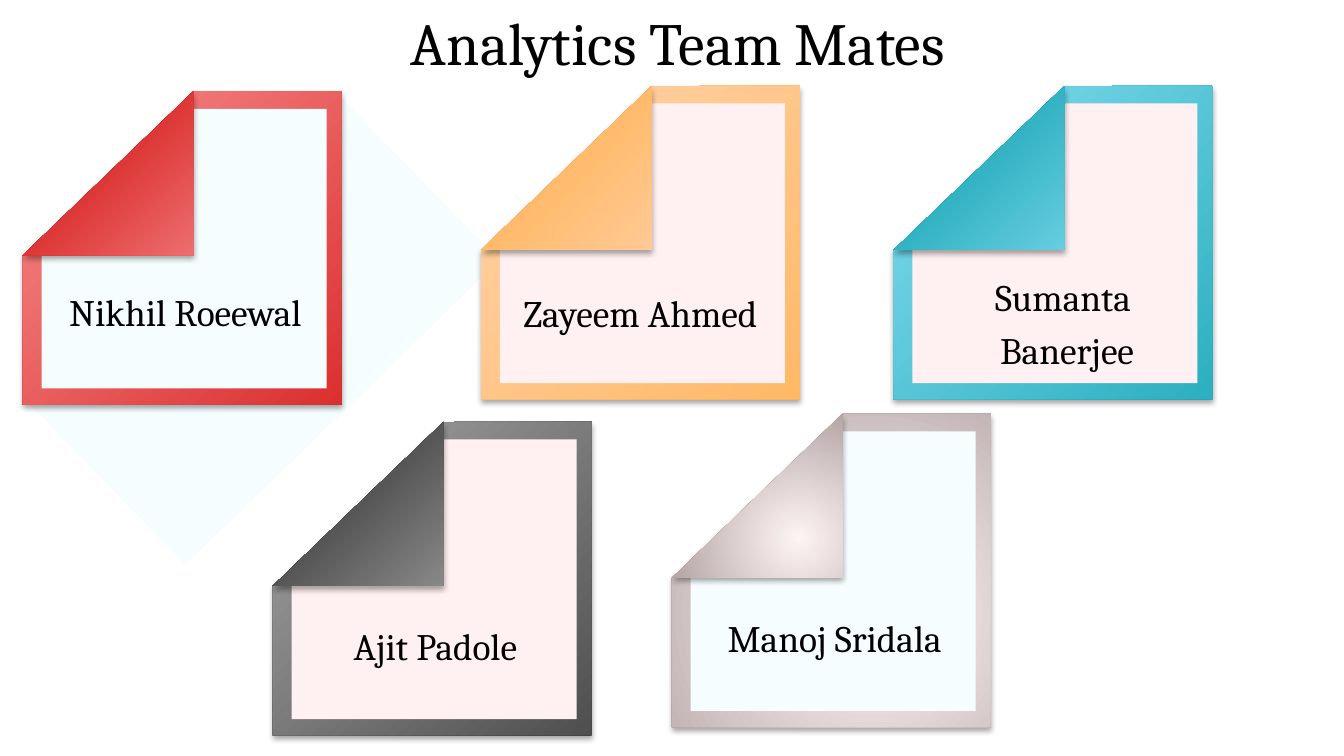
from math import cos, radians, sin

from lxml import etree
from pptx import Presentation
from pptx.dml.color import RGBColor
from pptx.enum.shapes import MSO_SHAPE
from pptx.enum.text import MSO_ANCHOR, PP_ALIGN
from pptx.oxml import parse_xml
from pptx.oxml.ns import nsdecls, qn
from pptx.util import Inches, Pt

RECTANGLE = MSO_SHAPE.RECTANGLE
CENTER = PP_ALIGN.CENTER
TOP = MSO_ANCHOR.TOP
TITLE_ONLY = 5

FRAME = [(1.27, 0), (2.37, 0), (2.37, 2.33), (0, 2.33), (0, 1.22)]
PAPER = [(1.27, 0.13), (2.26, 0.13), (2.26, 2.21), (0.14, 2.21), (0.14, 1.22)]
FOLD = [(1.27, 1.22), (0, 1.22), (1.27, 0)]
FRAME_TURN = 316.2
FOLD_TURN = 136.2
ICE = "F5FDFF"
BLUSH = "FFF1F1"

CARDS = [
    ((0.17, 0.68), ("CC0000", "FFA5A5"), False, ICE,
     ["Nikhil Roeewal"], (0.19, 2.15, 2.38, 0.34)),
    ((3.58, 0.64), ("FFAB40", "FFDAC0"), False, BLUSH,
     ["Zayeem Ahmed"], (3.7, 2.16, 2.13, 0.34)),
    ((6.65, 0.64), ("0097A7", "99E9FC"), False, BLUSH,
     ["Sumanta ", "Banerjee"], (6.74, 2.04, 2.4, 0.74)),
    ((5, 3.08), ("FFF4F4", "9B8B8B"), True, ICE,
     ["Manoj Sridala"], (5.27, 4.58, 1.88, 0.34)),
    ((2.03, 3.14), ("212121", "BDBDBD"), False, BLUSH,
     ["Ajit Padole"], (2.3, 4.64, 1.88, 0.34)),
]


def rgb(value):
    return RGBColor.from_string(value)


def rotate(point, degrees):
    x, y = point
    c, s = cos(radians(degrees)), sin(radians(degrees))
    return x * c - y * s, x * s + y * c


def unturned(points, turn):
    flat = [rotate(point, -turn) for point in points]
    middle = tuple((min(axis) + max(axis)) / 2 for axis in zip(*flat))
    pivot = rotate(middle, turn)
    return [(x + pivot[0] - middle[0], y + pivot[1] - middle[1]) for x, y in flat]


def write(frame, lines, size=20, font="Cambria", color="000000", gap=4.5, inset=(0, 0)):
    frame.word_wrap = True
    frame.vertical_anchor = TOP
    frame.margin_left = frame.margin_right = Inches(inset[0])
    frame.margin_top = frame.margin_bottom = Inches(inset[1])
    for index, line in enumerate(lines):
        paragraph = frame.add_paragraph() if index else frame.paragraphs[0]
        paragraph.alignment = CENTER
        paragraph.space_before = Pt(gap if index else 0)
        run = paragraph.add_run()
        run.text = line
        run.font.size = Pt(size)
        run.font.name = font
        run.font.color.rgb = rgb(color)


class TeamSlide:
    def __init__(self, deck):
        self.slide = deck.slides.add_slide(deck.slide_layouts[TITLE_ONLY])
        self.shapes = self.slide.shapes

    def title(self, text, box):
        heading = self.shapes.title
        heading.left, heading.top, heading.width, heading.height = map(Inches, box)
        write(heading.text_frame, [text], size=32, inset=(0.07, 0.04))

    def label(self, lines, box):
        write(self.shapes.add_textbox(*map(Inches, box)).text_frame, lines)

    def plain(self, shape, color, turn):
        shape.rotation = turn
        shape.line.fill.background()
        shape.shadow.inherit = False
        shape.fill.solid()
        shape.fill.fore_color.rgb = rgb(color)

    def backdrop(self, box, color, turn):
        self.plain(self.shapes.add_shape(RECTANGLE, *map(Inches, box)), color, turn)

    def outline(self, offsets, origin, color, turn):
        points = [(origin[0] + x, origin[1] + y) for x, y in offsets]
        corners = [(Inches(x), Inches(y)) for x, y in unturned(points, turn)]
        builder = self.shapes.build_freeform(*corners[0], scale=1.0)
        builder.add_line_segments(corners[1:], close=True)
        shape = builder.convert_to_shape()
        self.plain(shape, color, turn)
        return shape

    def shaded(self, offsets, origin, colors, radial, turn):
        shape = self.outline(offsets, origin, colors[0], turn)
        shape.fill.gradient()
        shape.fill.gradient_angle = 90
        for stop, color in zip(shape.fill.gradient_stops, colors):
            stop.color.rgb = rgb(color)
        properties = shape.element.spPr
        if radial:
            linear = properties.find(".//" + qn("a:lin"))
            linear.getparent().replace(linear, parse_xml(
                f'<a:path {nsdecls("a")} path="circle">'
                '<a:fillToRect l="50000" t="50000" r="50000" b="50000"/></a:path>'))
        shadow = etree.SubElement(
            properties.find(qn("a:effectLst")), qn("a:outerShdw"),
            blurRad=str(Pt(3.1)), dist=str(Pt(1.8)), dir="5400000", rotWithShape="0")
        tint = etree.SubElement(shadow, qn("a:srgbClr"), val="000000")
        etree.SubElement(tint, qn("a:alpha"), val="35000")

    def card(self, origin, colors, radial, paper, name, name_box):
        self.shaded(FRAME, origin, colors, radial, FRAME_TURN)
        self.outline(PAPER, origin, paper, FRAME_TURN)
        self.shaded(FOLD, origin, colors, radial, FOLD_TURN)
        self.label(name, name_box)


def main():
    deck = Presentation()
    deck.slide_width = Inches(10)
    deck.slide_height = deck.slide_width * 9 // 16
    team = TeamSlide(deck)
    team.title("Analytics Team Mates", (0.09, 0, 9.91, 1.02))
    team.backdrop((1.07, 0.82, 1.74, 3.25), ICE, 45.9)
    for card in CARDS:
        team.card(*card)
    deck.save("out.pptx")


if __name__ == "__main__":
    main()
